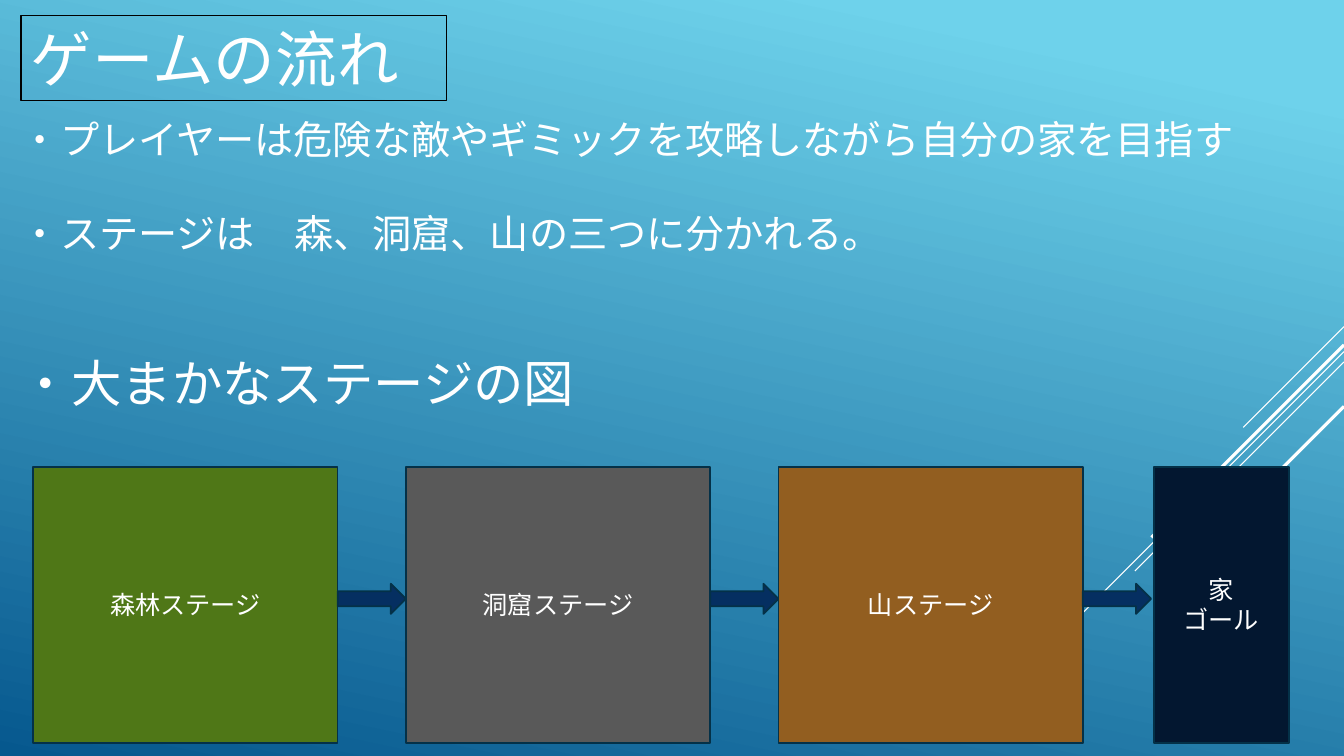
from dataclasses import dataclass

from lxml import etree
from pptx import Presentation
from pptx.dml.color import RGBColor
from pptx.enum import shapes, text
from pptx.oxml import ns
from pptx.util import Cm, Pt


@dataclass(frozen=True)
class Theme:
    """Colours, font and type sizes of the slide."""
    font: str = "Quicksand"
    white: str = "FFFFFF"
    black: str = "000000"
    sky: str = "6ED2EB"
    deep: str = "06588E"
    edge: str = "043148"
    arrow: str = "052F61"
    forest: str = "4F7717"
    cave: str = "595959"
    hill: str = "925E20"
    home: str = "031730"
    title: int = 44
    head: int = 36
    body: int = 28
    label: int = 18


THEME = Theme()
WIDE, HIGH = 33.87, 19.05


def rgb(code):
    """Turn a hex code into a colour."""
    return RGBColor.from_string(code)


def apply(item, form):
    """Set each attribute in a dict of format values."""
    for name, value in form.items():
        setattr(item, name, value)


def write(frame, lines, align, anchor):
    """Fill a frame with (text, size, space before) lines."""
    apply(frame, {"word_wrap": True, "vertical_anchor": anchor})
    for i, (words, size, gap) in enumerate(lines):
        para = frame.add_paragraph() if i else frame.paragraphs[0]
        apply(para, {"alignment": align, "space_before": Pt(gap)})
        run = para.add_run()
        run.text = words
        apply(run.font, {"name": THEME.font, "size": Pt(size)})
        run.font.color.rgb = rgb(THEME.white)


def block(slide, kind, box, fill, edge, width):
    """Draw a flat preset shape in a box given in centimetres."""
    shape = slide.shapes.add_shape(kind, *map(Cm, box))
    shape.shadow.inherit = False
    if fill:
        shape.fill.solid()
        shape.fill.fore_color.rgb = rgb(fill)
    else:
        shape.fill.background()
    shape.line.color.rgb = rgb(edge)
    shape.line.width = Pt(width)
    return shape


def backdrop(slide):
    """Paint the slanted gradient behind the slide."""
    fill = slide.background.fill
    fill.gradient()
    fill.gradient_angle = 360 - 102
    stops = ((0.1, THEME.sky), (1, THEME.deep))
    for stop, (place, code) in zip(fill.gradient_stops, stops):
        stop.position = place
        stop.color.rgb = rgb(code)


def streaks(slide, right):
    """Draw diagonal lines running down from the right edge."""
    rays = ((8.23, 2.54, 0.75), (8.86, 8.28, 0.75), (9.12, 5.27, 0.75),
            (8.69, 4.85, 2.25), (10.24, 3.53, 2.25))
    for top, run, width in rays:
        ends = map(Cm, (right, top, right - run, top + run))
        ray = slide.shapes.add_connector(shapes.MSO_CONNECTOR.STRAIGHT, *ends)
        ray.line.color.rgb = rgb(THEME.white)
        ray.line.width = Pt(width)
        etree.SubElement(ray._element.spPr, ns.qn("a:effectLst"))


def header(slide, box):
    """Place the outlined title."""
    shape = block(slide, shapes.MSO_SHAPE.RECTANGLE, box, None, THEME.black, 0.75)
    write(shape.text_frame, [("ゲームの流れ", THEME.title, 0)],
          text.PP_ALIGN.LEFT, text.MSO_ANCHOR.TOP)


def points(slide, box):
    """Place the bullet text."""
    lines = [
        ("・プレイヤーは危険な敵やギミックを攻略しながら自分の家を目指す", THEME.body, 0),
        ("・ステージは　森、洞窟、山の三つに分かれる。", THEME.body, 34),
        ("・大まかなステージの図", THEME.head, 68),
    ]
    frame = slide.shapes.add_textbox(*map(Cm, box)).text_frame
    write(frame, lines, text.PP_ALIGN.LEFT, text.MSO_ANCHOR.TOP)


def flow(slide, box):
    """Draw the stages in a row, joined by arrows, ending at the goal."""
    left, top, width, high = box
    goal, link, thick, rise = 3.4, 1.72, 0.76, 0.15
    slack = 0.07
    stage = (width - goal - slack - 3 * link) / 3
    kinds = shapes.MSO_SHAPE
    stages = ((("森林ステージ",), THEME.forest), (("洞窟ステージ",), THEME.cave),
              (("山ステージ",), THEME.hill), (("家", "ゴール"), THEME.home))
    for i, (words, fill) in enumerate(stages):
        x = left + i * (stage + link)
        last = i == len(stages) - 1
        area = (x + slack, top, goal, high) if last else (x, top, stage, high)
        shape = block(slide, kinds.RECTANGLE, area, fill, THEME.edge, 1.25)
        write(shape.text_frame, [(word, THEME.label, 0) for word in words],
              text.PP_ALIGN.CENTER, text.MSO_ANCHOR.MIDDLE)
        if not last:
            y = top + (high - thick) / 2 - rise
            block(slide, kinds.RIGHT_ARROW, (x + stage, y, link, thick),
                  THEME.arrow, THEME.edge, 1.25)


def main():
    """Build the slide and save it."""
    deck = Presentation()
    apply(deck, {"slide_width": Cm(WIDE), "slide_height": Cm(HIGH)})
    slide = deck.slides.add_slide(deck.slide_layouts[6])
    backdrop(slide)
    streaks(slide, WIDE)
    header(slide, (0.53, 0.4, 10.72, 2.14))
    points(slide, (0.28, 2.77, 31.62, 7.77))
    flow(slide, (0.84, 11.76, 31.64, 6.96))
    deck.save("out.pptx")


if __name__ == "__main__":
    main()
